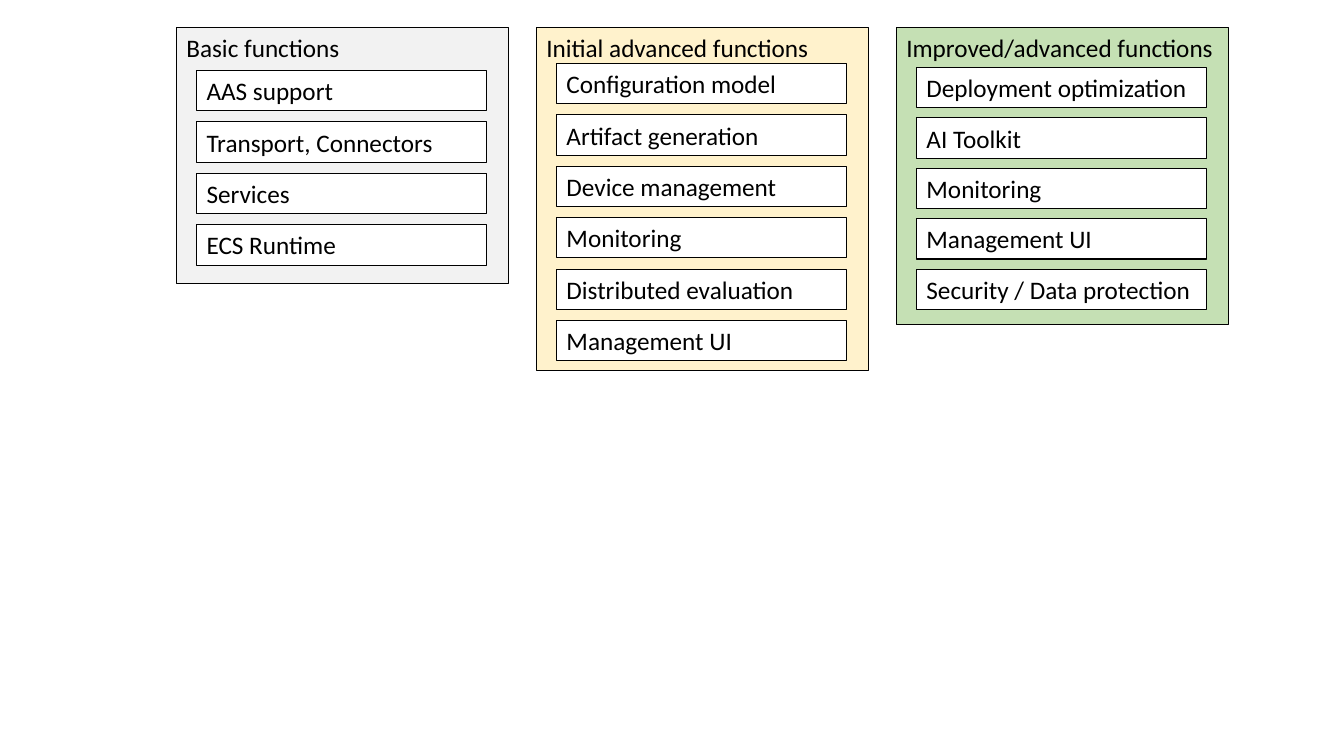
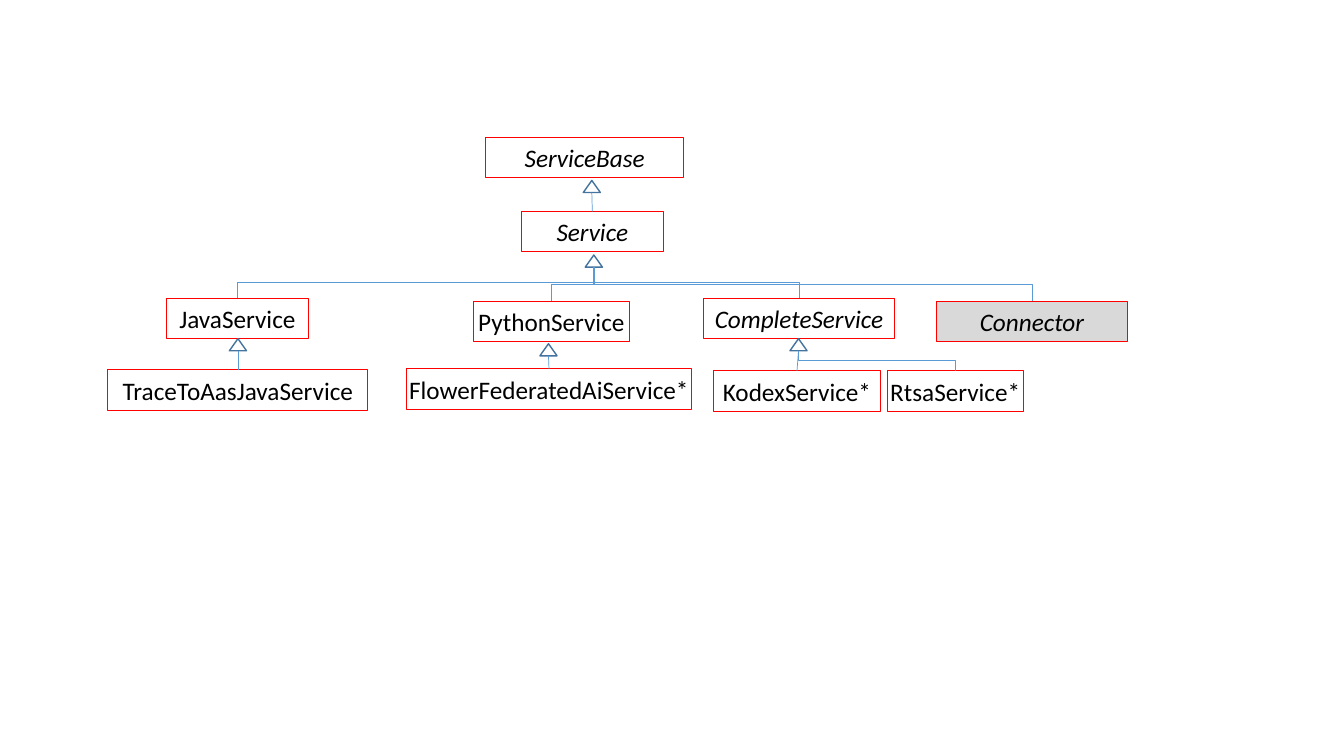
from lxml import etree
from pptx import Presentation
from pptx.dml.color import RGBColor
from pptx.enum.shapes import MSO_CONNECTOR, MSO_SHAPE
from pptx.enum.text import MSO_ANCHOR, PP_ALIGN
from pptx.oxml.ns import qn
from pptx.util import Inches, Pt

RECT, TRIANGLE = MSO_SHAPE.RECTANGLE, MSO_SHAPE.ISOSCELES_TRIANGLE
STRAIGHT, ELBOW = MSO_CONNECTOR.STRAIGHT, MSO_CONNECTOR.ELBOW
TOP, MIDDLE = MSO_ANCHOR.TOP, MSO_ANCHOR.MIDDLE
LEFT, CENTER = PP_ALIGN.LEFT, PP_ALIGN.CENTER

BLACK = RGBColor(0x00, 0x00, 0x00)
WHITE = RGBColor(0xFF, 0xFF, 0xFF)
RED = RGBColor(0xFF, 0x00, 0x00)
LIGHT_GREY = RGBColor(0xF2, 0xF2, 0xF2)
GREY = RGBColor(0xD9, 0xD9, 0xD9)
CREAM = RGBColor(0xFF, 0xF2, 0xCC)
GREEN = RGBColor(0xC5, 0xE0, 0xB4)
BLUE = RGBColor(0x5B, 0x9B, 0xD5)
DARK_BLUE = RGBColor(0x43, 0x73, 0x9E)

FONT = "Calibri"
TEXT_SIZE = Pt(18)
BOX_H = 0.4
HEAD_W, HEAD_H = 0.17, 0.12

PANEL_LEFT, PANEL_TOP, PANEL_W, PANEL_STEP = 1.75, 0.27, 3.29, 3.57
ITEM_INSET, ITEM_W = 0.2, 2.88
PANELS = [
    ("Basic functions", LIGHT_GREY, 2.54, 0.43, 0.51,
     ["AAS support", "Transport, Connectors", "Services", "ECS Runtime"]),
    ("Initial advanced functions", CREAM, 3.41, 0.36, 0.51,
     ["Configuration model", "Artifact generation", "Device management",
      "Monitoring", "Distributed evaluation", "Management UI"]),
    ("Improved/advanced functions", GREEN, 2.95, 0.4, 0.5,
     ["Deployment optimization", "AI Toolkit", "Monitoring",
      "Management UI", "Security / Data protection"]),
]

TREE_LEFT, TREE_TOP = 1.07, 1.36
CLASSES = {
    "ServiceBase": (3.75, 0, 1.96),
    "Service": (4.1, 0.74, 1.41),
    "JavaService": (0.58, 1.6, 1.41),
    "PythonService": (3.63, 1.63, 1.54),
    "CompleteService": (5.91, 1.6, 1.89),
    "Connector": (8.22, 1.63, 1.89),
    "TraceToAasJavaService": (0, 2.31, 2.58),
    "FlowerFederatedAiService*": (2.96, 2.3, 2.83),
    "KodexService*": (6.01, 2.32, 1.65),
    "RtsaService*": (7.73, 2.32, 1.35),
}
ABSTRACT = {"ServiceBase", "Service", "CompleteService", "Connector"}
INHERITANCE = [
    (4.8, 0.43, ["Service"]),
    (4.82, 1.17, ["JavaService", "PythonService", "CompleteService", "Connector"]),
    (1.29, 2.0, ["TraceToAasJavaService"]),
    (4.37, 2.05, ["FlowerFederatedAiService*"]),
    (6.85, 2.0, ["KodexService*", "RtsaService*"]),
]


def add_outlined(slide, kind, box, fill, line, width):
    """Add a filled, outlined shape without shadow."""
    sp = slide.shapes.add_shape(kind, *(Inches(v) for v in box))
    sp.shadow.inherit = False
    sp.fill.solid()
    sp.fill.fore_color.rgb = fill
    sp.line.color.rgb = line
    sp.line.width = Pt(width)
    return sp


def add_box(slide, box, text, fill=WHITE, line=BLACK, align=LEFT,
            anchor=MIDDLE, wrap=True, italic=False):
    """Add a rectangle holding one line of text."""
    sp = add_outlined(slide, RECT, box, fill, line, 0.75)
    tf = sp.text_frame
    tf.word_wrap = wrap
    tf.vertical_anchor = anchor
    p = tf.paragraphs[0]
    p.text = text
    p.alignment = align
    p.font.name = FONT
    p.font.size = TEXT_SIZE
    p.font.italic = italic
    p.font.color.rgb = BLACK
    return sp


def add_link(slide, kind, x1, y1, x2, y2):
    """Add a thin blue connector without shadow."""
    cxn = slide.shapes.add_connector(kind, *(Inches(v) for v in (x1, y1, x2, y2)))
    cxn.line.color.rgb = BLUE
    cxn.line.width = Pt(0.5)
    etree.SubElement(cxn._element.spPr, qn("a:effectLst"))
    return cxn


def add_vertical_elbow(slide, x1, y1, x2, y2):
    """Add an elbow that leaves and arrives vertically, as a turned connector."""
    cx, cy = (x1 + x2) / 2, (y1 + y2) / 2
    half_w, half_h = (y2 - y1) / 2, abs(x2 - x1) / 2
    side = 1 if x2 > x1 else -1
    cxn = add_link(slide, ELBOW, cx + side * half_w, cy - half_h,
                   cx - side * half_w, cy + half_h)
    turn = 270 if x2 > x1 else 90
    cxn._element.spPr.find(qn("a:xfrm")).set("rot", str(turn * 60000))


def add_panel(slide, left, top, title, fill, height, first, pitch, items):
    """Draw a titled panel with a stack of function boxes."""
    add_box(slide, (left, top, PANEL_W, height), title, fill, anchor=TOP)
    for i, item in enumerate(items):
        add_box(slide, (left + ITEM_INSET, top + first + i * pitch, ITEM_W, BOX_H), item)


def add_inheritance(slide, x, y, children):
    """Draw a hollow arrowhead with its apex at x, y and link the child boxes."""
    add_outlined(slide, TRIANGLE, (x - HEAD_W / 2, y, HEAD_W, HEAD_H), WHITE, DARK_BLUE, 1)
    base = y + HEAD_H
    for sp in children:
        child_x, child_y = (sp.left + sp.width / 2) / Inches(1), sp.top / Inches(1)
        if abs(child_x - x) < 0.1:
            add_link(slide, STRAIGHT, x, base, child_x, child_y).end_connect(sp, 0)
        else:
            add_vertical_elbow(slide, x, base, child_x, child_y)


def add_class_tree(slide, left, top):
    """Draw the class boxes and their inheritance links."""
    boxes = {}
    for name, (x, y, width) in CLASSES.items():
        boxes[name] = add_box(
            slide, (left + x, top + y, width, BOX_H), name,
            GREY if name == "Connector" else WHITE, RED, CENTER,
            wrap=False, italic=name in ABSTRACT)
    for x, y, names in INHERITANCE:
        add_inheritance(slide, left + x, top + y, [boxes[n] for n in names])


def main():
    """Build both slides and save the file."""
    prs = Presentation()
    prs.slide_width, prs.slide_height = Inches(13.33), Inches(7.5)
    blank = prs.slide_layouts[6]
    slide = prs.slides.add_slide(blank)
    for i, panel in enumerate(PANELS):
        add_panel(slide, PANEL_LEFT + i * PANEL_STEP, PANEL_TOP, *panel)
    add_class_tree(prs.slides.add_slide(blank), TREE_LEFT, TREE_TOP)
    prs.save("out.pptx")


if __name__ == "__main__":
    main()
